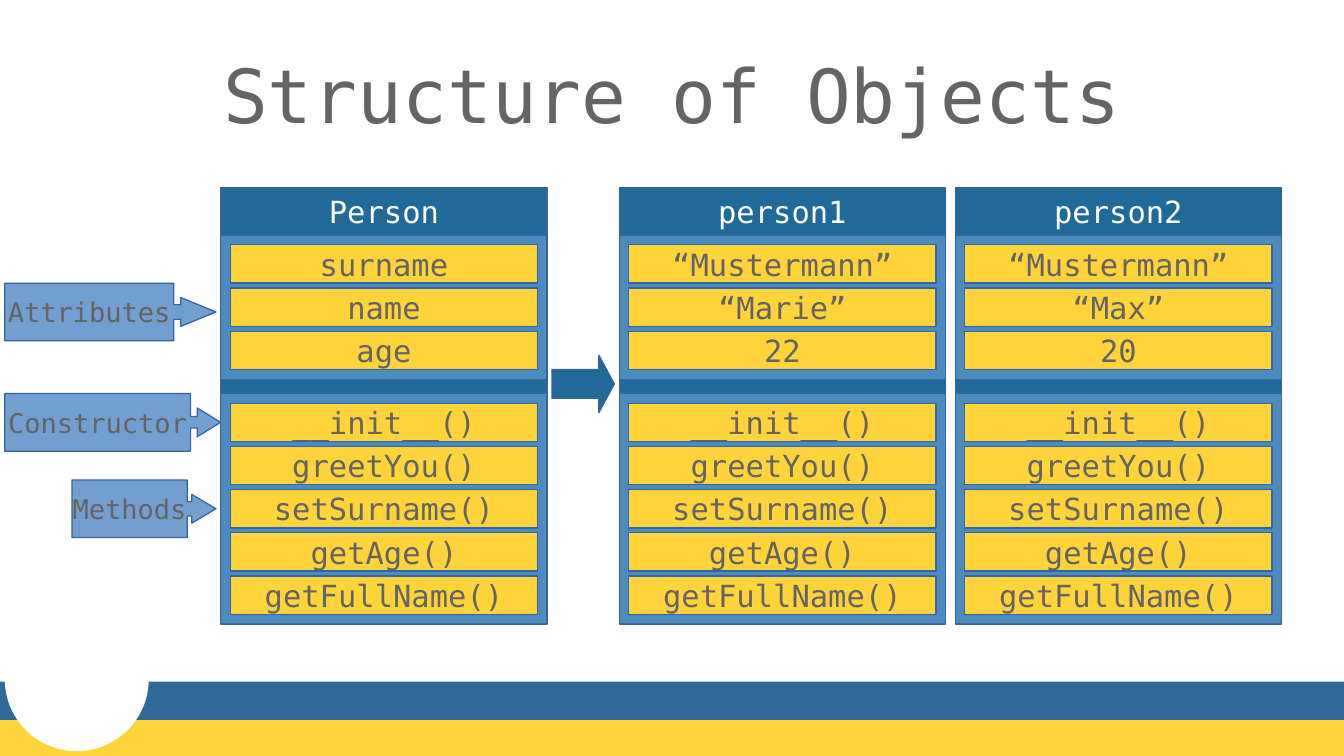
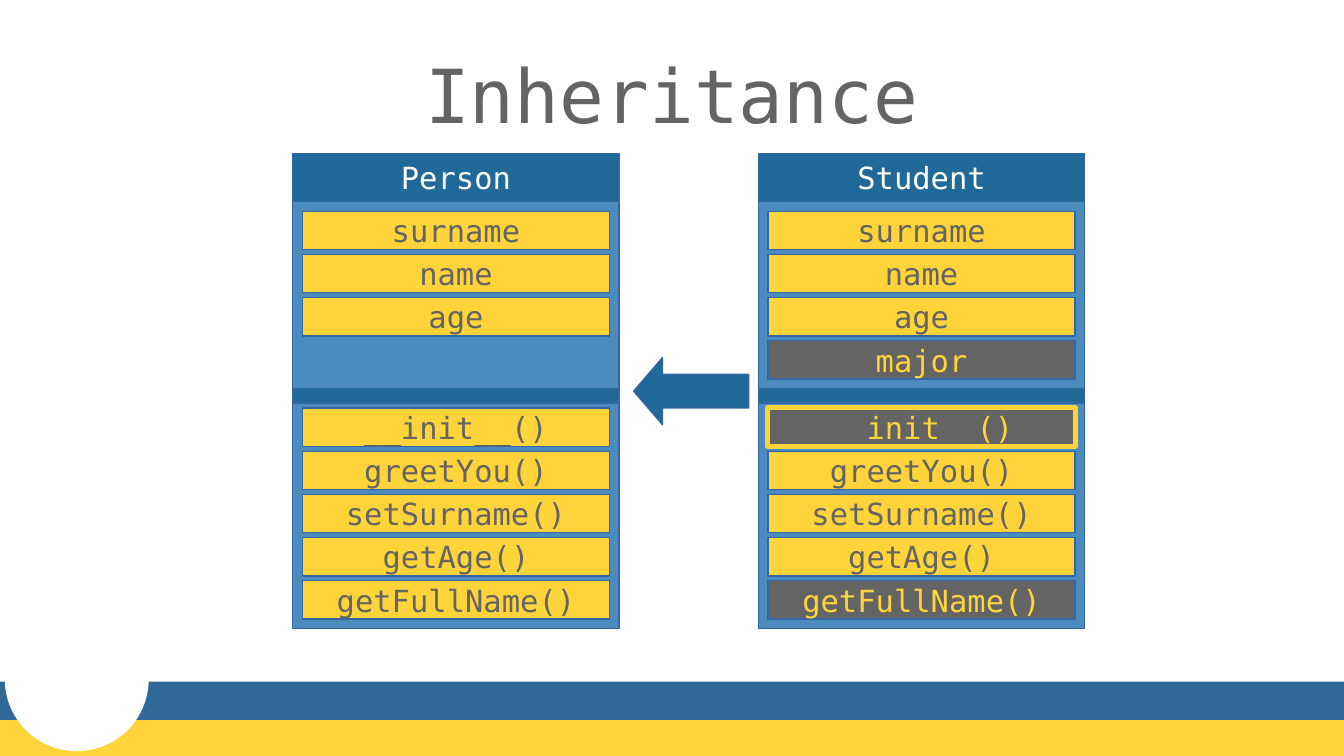
from pptx import Presentation
from pptx.dml.color import RGBColor
from pptx.enum.shapes import MSO_SHAPE as Kind
from pptx.enum.text import MSO_ANCHOR as Anchor, MSO_AUTO_SIZE as Fit, PP_ALIGN as Align
from pptx.util import Cm, Pt

FONT = "DejaVu Sans Mono"
WHITE, GREY, YELLOW = "FFFFFF", "646464", "FFD43B"
NAVY, BLUE, BAND, PALE, EDGE = "206998", "4B8BBE", "306998", "729FCF", "3465A4"

WIDE, HEAD, RULE = 6.8, 1.0, 0.3
PAD, ROW, STEP = 0.2, 0.8, 0.9

FIELDS = ["surname", "name", "age"]
CALLS = ["__init__()", "greetYou()", "setSurname()", "getAge()", "getFullName()"]


def tint(code):
    return RGBColor.from_string(code)


class Deck:
    def __init__(self):
        self.file = Presentation()
        self.file.slide_width, self.file.slide_height = Cm(28), Cm(15.75)
        self.layout = self.file.slide_layouts[5]
        self.slide = None
        self.area = None

    def page(self, title):
        self.slide = self.file.slides.add_slide(self.layout)
        self.area = self.slide.shapes
        if len(self.file.slides) == 1:
            self.base()
        head = self.slide.shapes.title
        head.left, head.top, head.width, head.height = Cm(1.4), Cm(0.63), Cm(25.2), Cm(2.64)
        frame = head.text_frame
        frame.margin_left = frame.margin_right = frame.margin_top = frame.margin_bottom = 0
        frame.auto_size = Fit.NONE
        self.style(frame, title, 44, GREY)

    def base(self):
        """Draw the footer bands and the white disc, then move them to the layout."""
        for shape in (
            self.shape(Kind.RECTANGLE, -0.2, 15, 28.4, 0.8, YELLOW, None),
            self.shape(Kind.RECTANGLE, -0.2, 14.2, 28.4, 0.8, BAND, None),
            self.shape(Kind.OVAL, 0.1, 12.65, 3, 3, WHITE, None),
        ):
            self.layout.shapes.element.append(shape.element)

    def style(self, frame, text, size, color):
        """Set the text of a frame, centred both ways, and format it."""
        frame.text = text
        frame.vertical_anchor = Anchor.MIDDLE
        line = frame.paragraphs[0]
        line.alignment = Align.CENTER
        for run in line.runs:
            run.font.name, run.font.size = FONT, Pt(size)
            run.font.color.rgb = tint(color)

    def shape(self, kind, left, top, width, height, fill, edge=EDGE, thick=0, bends=()):
        shape = self.area.add_shape(kind, Cm(left), Cm(top), Cm(width), Cm(height))
        shape.shadow.inherit = False
        shape.fill.solid()
        shape.fill.fore_color.rgb = tint(fill)
        if edge:
            shape.line.color.rgb = tint(edge)
            shape.line.width = Pt(thick)
        else:
            shape.line.fill.background()
        for spot, bend in enumerate(bends):
            shape.adjustments[spot] = bend
        return shape

    def label(self, shape, text, color=GREY, size=18):
        shape.text_frame.word_wrap = False
        self.style(shape.text_frame, text, size, color)

    def rows(self, left, top, names, dark, frame):
        """Stack one bar per name; dark bars are inverted, framed ones get a yellow edge."""
        for spot, name in enumerate(names):
            fill, ink = (GREY, YELLOW) if name in dark else (YELLOW, GREY)
            edge, thick = (YELLOW, 3) if name in frame else (EDGE, 0)
            bar = self.shape(Kind.RECTANGLE, left + PAD, top + spot * STEP,
                             WIDE - 2 * PAD, ROW, fill, edge, thick)
            self.label(bar, name, ink)

    def card(self, left, top, name, fields, slots=3, gap=0.2, dark=(), frame=()):
        """Draw a class or object; slots is the room for fields, gap the space below the rule."""
        self.area = self.slide.shapes.add_group_shape().shapes
        body = top + HEAD
        rule = body + PAD + slots * STEP + 0.1
        calls = rule + RULE + gap
        foot = calls + (len(CALLS) - 1) * STEP + ROW + PAD
        head = self.shape(Kind.RECTANGLE, left, top, WIDE, HEAD, NAVY)
        self.label(head, name, WHITE)
        self.shape(Kind.RECTANGLE, left, body, WIDE, foot - body, BLUE)
        self.shape(Kind.RECTANGLE, left, rule, WIDE, RULE, NAVY)
        self.rows(left, body + PAD, fields, dark, frame)
        self.rows(left, calls, CALLS, dark, frame)
        self.area = self.slide.shapes

    def callout(self, left, top, width, text, bends):
        shape = self.shape(Kind.RIGHT_ARROW_CALLOUT, left, top, width, 1.2, PALE, bends=bends)
        self.label(shape, text, size=16)

    def arrow(self, kind, left, top, width, height, point):
        self.shape(kind, left, top, width, height, NAVY, bends=(0.5, point))


def main():
    deck = Deck()

    deck.page("Structure of Objects")
    deck.card(4.6, 3.9, "Person", FIELDS)
    deck.card(12.9, 3.9, "person1", ["“Mustermann”", "“Marie”", "22"])
    deck.card(19.9, 3.9, "person2", ["“Mustermann”", "“Max”", "20"])
    deck.callout(0.1, 5.9, 4.4, "Attributes", (0.25, 0.25, 0.61, 0.8))
    deck.callout(0.1, 8.2, 4.5, "Constructor", (0.2, 0.25, 0.41, 0.86))
    deck.callout(1.5, 10, 3, "Methods", (0.25, 0.25, 0.42, 0.8))
    deck.arrow(Kind.RIGHT_ARROW, 11.5, 7.4, 1.3, 1.2, 0.27)

    deck.page("Inheritance")
    deck.card(6.1, 3.2, "Person", FIELDS, slots=4, gap=0.1)
    deck.card(15.8, 3.2, "Student", FIELDS + ["major"], slots=4, gap=0.1,
              dark=("major", "__init__()", "getFullName()"), frame=("__init__()",))
    deck.arrow(Kind.LEFT_ARROW, 13.2, 7.45, 2.4, 1.4, 0.43)

    deck.file.save("out.pptx")


if __name__ == "__main__":
    main()
